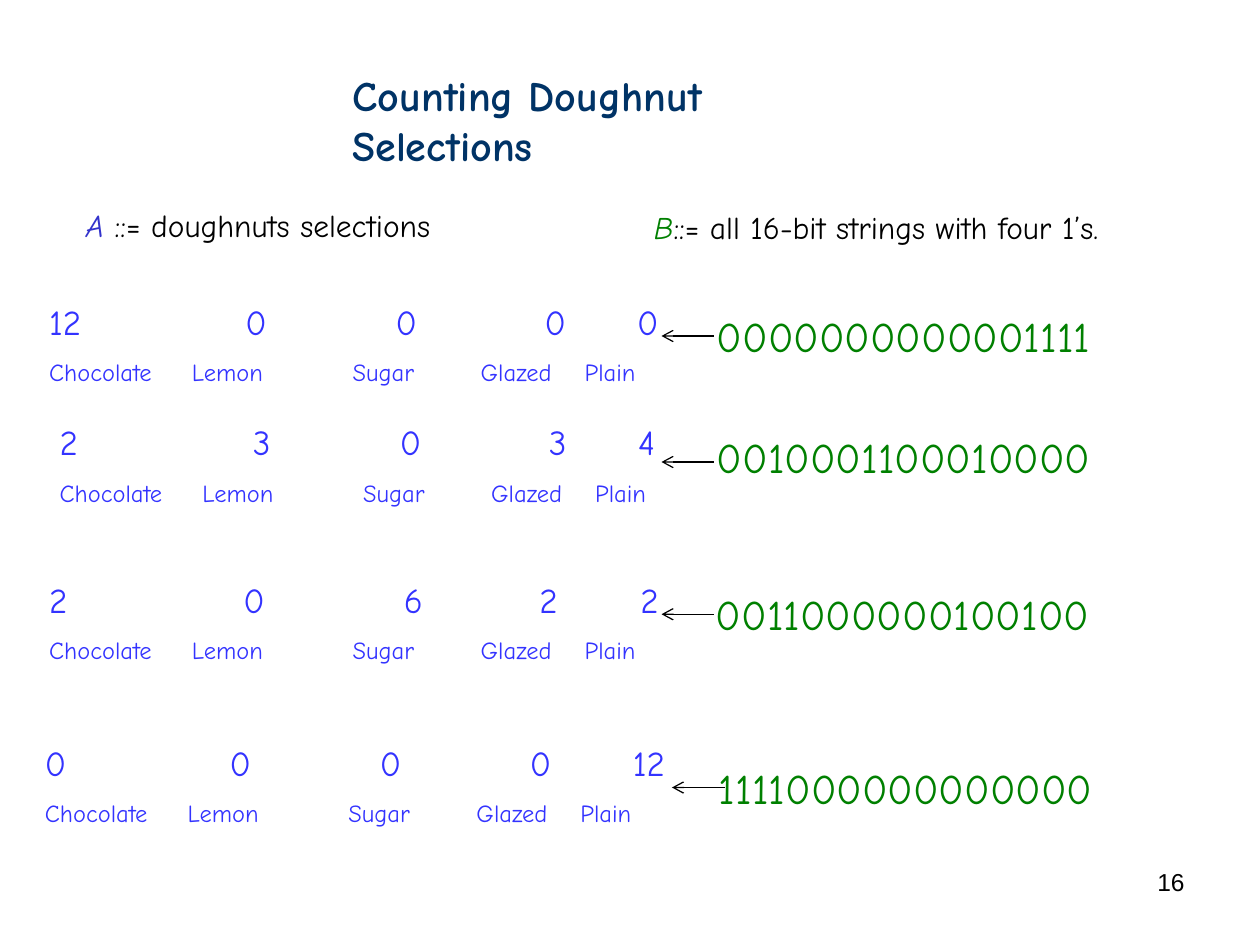
import pptx
import pptx.dml.color
import pptx.enum.shapes
import pptx.enum.text
import pptx.oxml
import pptx.oxml.ns
import pptx.util

COLORS = {
    "title": "003366",
    "text": "000000",
    "set_a": "3333CC",
    "green": "008000",
    "count": "3333FF",
}
HAND, PLAIN = "Comic Neue", "Arial"
CELL = pptx.util.Inches(1) // 12  # the slide is a grid of 120 columns by 90 rows

FLAVOURS = ("Chocolate", "Lemon", "Sugar", "Glazed", "Plain")
FLAVOUR_STOPS = (13.6, 28.9, 41.1, 51)

# left, top, counts, count stops, bits left, bits top, arrow start, arrow row
SELECTIONS = [
    (3.5, 28, (12, 0, 0, 0, 0), (18.7, 33, 47.2, 56),
     67.1, 29, 68, 32),
    (4.5, 39.5, (2, 3, 0, 3, 4), (18.4, 32.4, 46.6, 55.1),
     67.1, 40.5, 68, 44),
    (3.5, 54.5, (2, 0, 6, 2, 2), (18.5, 33.8, 46.7, 56.3),
     67, 55.5, 68, 58.5),
    (3.1, 70, (0, 0, 0, 0, 12), (17.6, 31.9, 46.2, 56),
     67.3, 72, 69, 75),
]


def cells(count):
    return pptx.util.Emu(round(count * CELL))


def bit_string(counts):
    """Write each count as that many zeros, with a 1 between neighbours."""
    return "1".join("0" * count for count in counts)


class SlideWriter:
    def __init__(self, presentation):
        self.slide = presentation.slides.add_slide(presentation.slide_layouts[6])

    def text_box(self, left, top, width, height, wrap=True):
        box = self.slide.shapes.add_textbox(*map(cells, (left, top, width, height)))
        box.text_frame.word_wrap = wrap
        return box.text_frame

    def run(self, paragraph, text, size, color, font=HAND, bold=False, italic=False):
        run = paragraph.add_run()
        run.text = text
        run.font.name = font
        run.font.size = pptx.util.Pt(size)
        run.font.bold = bold
        run.font.italic = italic
        run.font.color.rgb = pptx.dml.color.RGBColor.from_string(COLORS[color])

    def tabbed(self, paragraph, words, stops, size, color):
        """Write words in columns that start at the given tab stops."""
        self.run(paragraph, "\t".join(map(str, words)), size, color)
        properties = paragraph._p.get_or_add_pPr()
        tabs = pptx.oxml.parse_xml(f"<a:tabLst {pptx.oxml.ns.nsdecls('a')}/>")
        for stop in stops:
            tab = tabs.makeelement(pptx.oxml.ns.qn("a:tab"),
                                   {"pos": str(cells(stop)), "algn": "l"})
            tabs.append(tab)
        properties.append(tabs)

    def arrow(self, start, end, row):
        connector = self.slide.shapes.add_connector(
            pptx.enum.shapes.MSO_CONNECTOR.STRAIGHT,
            cells(start), cells(row), cells(end), cells(row))
        connector.line.width = pptx.util.Pt(0.75)
        connector.line.color.rgb = pptx.dml.color.RGBColor.from_string(COLORS["text"])
        namespace = pptx.oxml.ns.nsdecls("a")
        connector.line._get_or_add_ln().append(
            pptx.oxml.parse_xml(f'<a:tailEnd {namespace} type="arrow"/>'))
        connector._element.spPr.append(
            pptx.oxml.parse_xml(f"<a:effectLst {namespace}/>"))

    def definition(self, left, top, width, parts):
        paragraph = self.text_box(left, top, width, 4.8).paragraphs[0]
        paragraph.space_before = pptx.util.Pt(4.5)
        for text, color, italic in parts:
            self.run(paragraph, text, 18, color, italic=italic)

    def selection(self, left, top, counts, stops, bits_left, bits_top, arrow_start, row):
        frame = self.text_box(left, top, 62.4, 9.5)
        self.tabbed(frame.paragraphs[0], counts, stops, 20, "count")
        flavours = frame.add_paragraph()
        flavours.line_spacing = 1.5
        self.tabbed(flavours, FLAVOURS, FLAVOUR_STOPS, 14, "count")

        bits = self.text_box(bits_left, bits_top, 47, 6).paragraphs[0]
        bits.space_before = pptx.util.Pt(6)
        self.run(bits, bit_string(counts), 24, "green")
        self.arrow(arrow_start, arrow_start - 5, row)


def main():
    presentation = pptx.Presentation()
    presentation.slide_width = cells(120)
    presentation.slide_height = cells(90)
    writer = SlideWriter(presentation)

    title = writer.text_box(32.4, 6, 54.2, 6, wrap=False).paragraphs[0]
    writer.run(title, "Counting Doughnut Selections", 24, "title", bold=True)

    writer.definition(7, 19, 59, [
        ("A ", "set_a", True),
        ("::= doughnuts selections", "text", False)])
    writer.definition(60.1, 19.2, 56, [
        (" ", "text", False),
        ("B", "green", True),
        ("::= all 16-bit strings with four 1’s.", "text", False)])

    for selection in SELECTIONS:
        writer.selection(*selection)

    number = writer.text_box(86, 82, 28, 6.25).paragraphs[0]
    number.alignment = pptx.enum.text.PP_ALIGN.RIGHT
    writer.run(number, "16", 14, "text", font=PLAIN)

    presentation.save("out.pptx")


if __name__ == "__main__":
    main()
